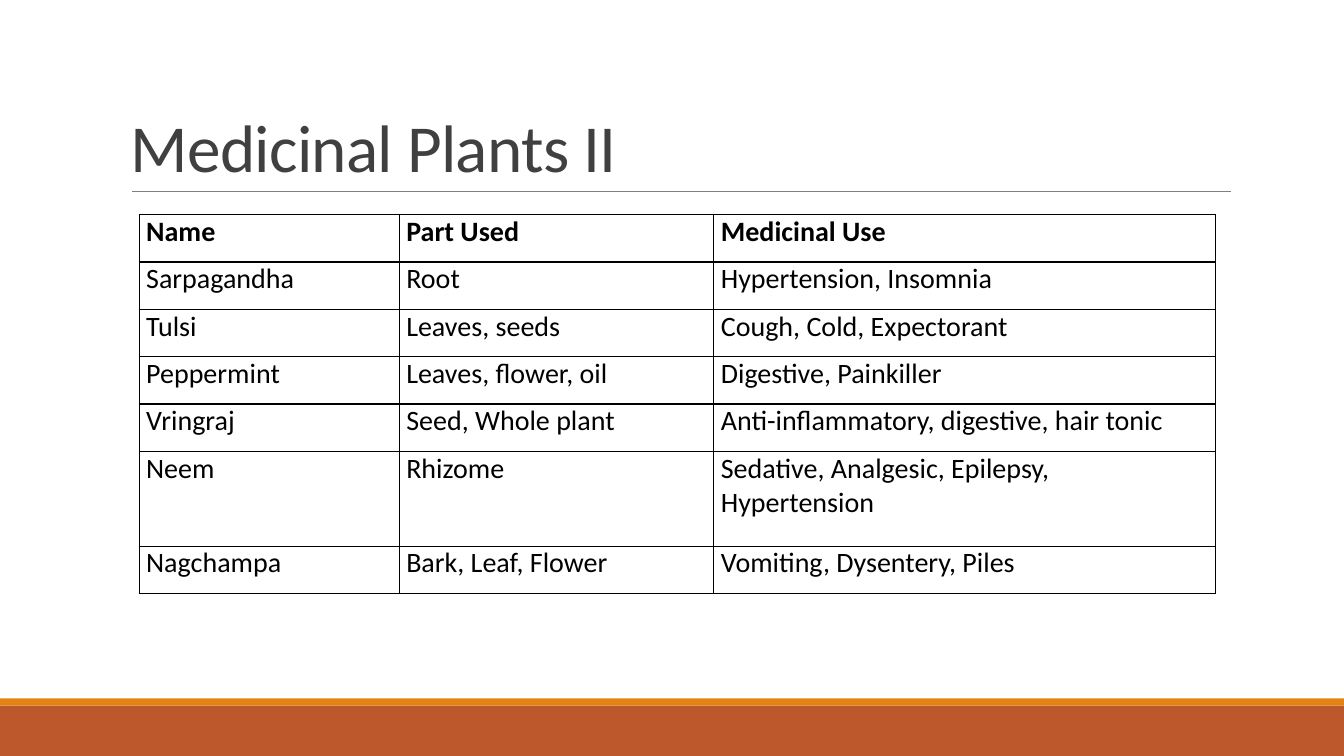
"""Build the slide of medicinal plants, with the parts used and their uses."""
import lxml.etree
import pptx
import pptx.dml.color
import pptx.enum.shapes
import pptx.enum.text
import pptx.oxml
import pptx.oxml.ns
import pptx.util

TITLE = "Medicinal Plants II"
PLANTS = [
    ("Name", "Part Used", "Medicinal Use"),
    ("Sarpagandha", "Root", "Hypertension, Insomnia"),
    ("Tulsi", "Leaves, seeds", "Cough, Cold, Expectorant"),
    ("Peppermint", "Leaves, flower, oil", "Digestive, Painkiller"),
    ("Vringraj", "Seed, Whole plant", "Anti-inflammatory, digestive, hair tonic"),
    ("Neem", "Rhizome", "Sedative, Analgesic, Epilepsy, Hypertension"),
    ("Nagchampa", "Bark, Leaf, Flower", "Vomiting, Dysentery, Piles"),
]
COLORS = {"rust": "BD582C", "orange": "E48312", "rule": "808080",
          "title": "404040", "ink": "000000"}
BANDS = [("rust", 7, 0.5), ("orange", 6.93, 0.07)]
WIDE, HIGH = 13.33, 7.5
COLS = [2.58, 3.12, 4.98]
ROW = 0.47
TALL = "Neem"

Inches, Pt = pptx.util.Inches, pptx.util.Pt
TITLE_FONT = {"name": "Calibri", "size": Pt(48), "bold": False}
CELL_FONT = {"name": "Calibri", "size": Pt(20)}
FRAME = {"word_wrap": True, "vertical_anchor": pptx.enum.text.MSO_ANCHOR.BOTTOM}
LOOK = {"first_row": False, "horz_banding": False}
INSETS = {"margin_left": Inches(0.07), "margin_right": Inches(0.07),
          "margin_top": 0, "margin_bottom": 0}


def apply(item, values):
    for name, value in values.items():
        setattr(item, name, value)


def rgb(name):
    return pptx.dml.color.RGBColor.from_string(COLORS[name])


def write(frame, text, values, color):
    run = frame.paragraphs[0].add_run()
    run.text = text
    apply(run.font, values)
    run.font.color.rgb = rgb(color)
    return run


def border(cell):
    props = cell._tc.get_or_add_tcPr()
    for side in ("lnL", "lnR", "lnT", "lnB"):
        props.append(pptx.oxml.parse_xml(
            f'<a:{side} {pptx.oxml.ns.nsdecls("a")} w="{Pt(1)}"><a:solidFill>'
            f'<a:srgbClr val="{COLORS["ink"]}"/></a:solidFill></a:{side}>'))


def add_bands(slide):
    for color, top, height in BANDS:
        band = slide.shapes.add_shape(
            pptx.enum.shapes.MSO_SHAPE.RECTANGLE,
            0, Inches(top), Inches(WIDE), Inches(height))
        band.shadow.inherit = False
        band.fill.solid()
        band.fill.fore_color.rgb = rgb(color)
        band.line.fill.background()


def add_title(slide):
    rule = slide.shapes.add_connector(
        pptx.enum.shapes.MSO_CONNECTOR.STRAIGHT,
        Inches(1.31), Inches(1.9), Inches(12.21), Inches(1.9))
    rule.line.color.rgb = rgb("rule")
    rule.line.width = Pt(0.5)
    lxml.etree.SubElement(rule._element.spPr, pptx.oxml.ns.qn("a:effectLst"))
    box = slide.shapes.add_textbox(
        Inches(1.2), Inches(0.31), Inches(11), Inches(1.59))
    apply(box.text_frame, FRAME)
    box.text_frame.paragraphs[0].line_spacing = 0.85
    run = write(box.text_frame, TITLE, TITLE_FONT, "title")
    run._r.get_or_add_rPr().set("spc", "-50")


def add_plants(slide):
    rows = [ROW * (2 if plant[0] == TALL else 1) for plant in PLANTS]
    table = slide.shapes.add_table(
        len(rows), len(COLS), Inches(1.38), Inches(2.13),
        Inches(sum(COLS)), Inches(sum(rows))).table
    apply(table, LOOK)
    for col, width in zip(table.columns, COLS):
        col.width = Inches(width)
    for row, height in zip(table.rows, rows):
        row.height = Inches(height)
    for i, plant in enumerate(PLANTS):
        for j, text in enumerate(plant):
            cell = table.cell(i, j)
            apply(cell, INSETS)
            border(cell)
            cell.fill.background()
            write(cell.text_frame, text, CELL_FONT | {"bold": i == 0}, "ink")


def main():
    deck = pptx.Presentation()
    apply(deck, {"slide_width": Inches(WIDE), "slide_height": Inches(HIGH)})
    slide = deck.slides.add_slide(deck.slide_layouts[6])
    add_bands(slide)
    add_title(slide)
    add_plants(slide)
    deck.save("out.pptx")


if __name__ == "__main__":
    main()
